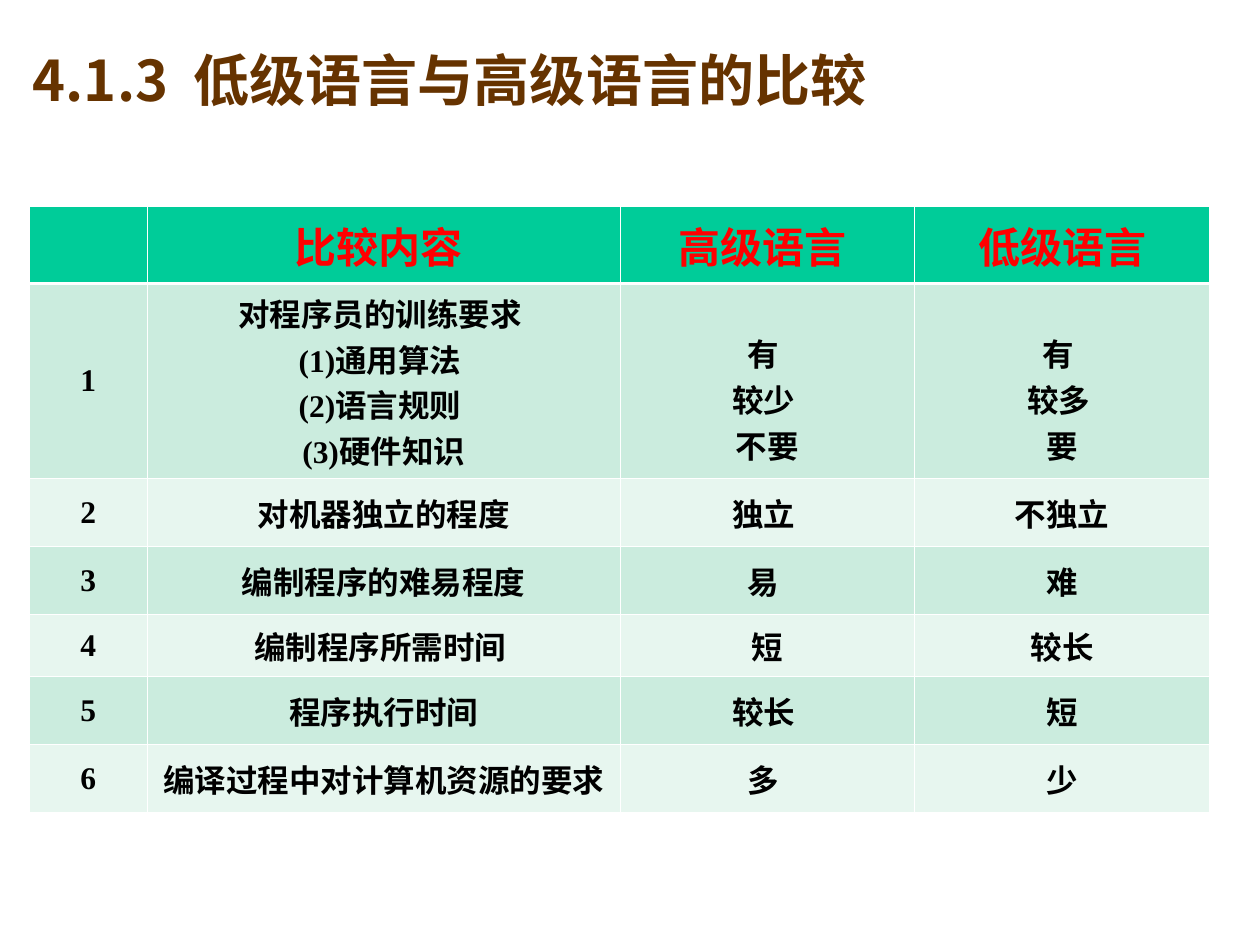
from lxml.etree import SubElement
from pptx import Presentation
from pptx.dml.color import RGBColor
from pptx.enum.text import MSO_ANCHOR as Anchor, MSO_AUTO_SIZE as AutoSize, PP_ALIGN as Align
from pptx.oxml.ns import qn
from pptx.util import Inches, Pt

CJK_FONT = "Noto Sans CJK JP"
LATIN_FONT = "Times New Roman"


def format_text(paragraph, latin, size, color):
    """Format every run, with a CJK face for the Chinese characters."""
    for run in paragraph.runs:
        run.font.name = latin
        run.font.size = Pt(size)
        run.font.bold = True
        run.font.color.rgb = RGBColor.from_string(color)
        SubElement(run.font._element, qn("a:ea"), typeface=CJK_FONT)


def add_borders(cell, widths, color):
    """Draw white rules on the left, right, top and bottom, before the fill."""
    properties = cell._tc.get_or_add_tcPr()
    for side, width in zip(("lnL", "lnR", "lnT", "lnB"), widths):
        line = SubElement(properties, qn(f"a:{side}"), w=str(Pt(width)))
        solid = SubElement(line, qn("a:solidFill"))
        SubElement(solid, qn("a:srgbClr"), val=color)


prs = Presentation()
prs.slide_width, prs.slide_height = Inches(10), Inches(7.5)
slide = prs.slides.add_slide(prs.slide_layouts[5])

# Title
title = slide.shapes.title
title.left, title.top = Inches(0.16), Inches(0.31)
title.width, title.height = Inches(8.09), Inches(0.64)
heading = title.text_frame
heading.text = "4.1.3  低级语言与高级语言的比较"
heading.auto_size = AutoSize.NONE
heading.vertical_anchor = Anchor.MIDDLE
heading.paragraphs[0].alignment = Align.LEFT
format_text(heading.paragraphs[0], CJK_FONT, 32, "663300")

# Comparison content
comparison = [
    ("", "比较内容 ", "高级语言 ", "低级语言"),
    ("1", "对程序员的训练要求 \n(1)通用算法 \n(2)语言规则 \n(3)硬件知识",
     "有 \n较少 \n不要", "有 \n较多 \n要"),
    ("2", "对机器独立的程度", "独立 ", "不独立"),
    ("3", "编制程序的难易程度", "易 ", "难"),
    ("4", "编制程序所需时间 ", "短", "较长"),
    ("5", "程序执行时间", "较长 ", "短"),
    ("6", "编译过程中对计算机资源的要求", "多 ", "少"),
]
column_widths = [0.94, 3.75, 2.34, 2.34]
row_heights = [0.61, 1.55, 0.54, 0.54, 0.49, 0.54, 0.54]

# Comparison table
table = slide.shapes.add_table(
    len(row_heights), len(column_widths), Inches(0.23), Inches(1.64),
    Inches(sum(column_widths)), Inches(sum(row_heights))).table
for column, width in zip(table.columns, column_widths):
    column.width = Inches(width)
for row, height in zip(table.rows, row_heights):
    row.height = Inches(height)

thin, thick = 0.45, 1.47
for r, entries in enumerate(comparison):
    if r == 0:
        fill, size, color = "00CC99", 24, "FF0000"
    else:
        fill, size, color = ("CBECDE" if r % 2 else "E7F6EF"), 18, "000000"
    for c, entry in enumerate(entries):
        cell = table.cell(r, c)
        top, bottom = (thick if r == 1 else thin), (thick if r == 0 else thin)
        add_borders(cell, (thin, thin, top, bottom), "FFFFFF")
        cell.fill.solid()
        cell.fill.fore_color.rgb = RGBColor.from_string(fill)
        cell.vertical_anchor = Anchor.MIDDLE
        cell.text_frame.text = entry
        for paragraph in cell.text_frame.paragraphs:
            paragraph.alignment = Align.CENTER
            format_text(paragraph, LATIN_FONT, size, color)

# Answers of the first row start beside its sub-items
for c in (2, 3):
    table.cell(1, c).margin_top = Inches(0.33)

prs.save("out.pptx")
